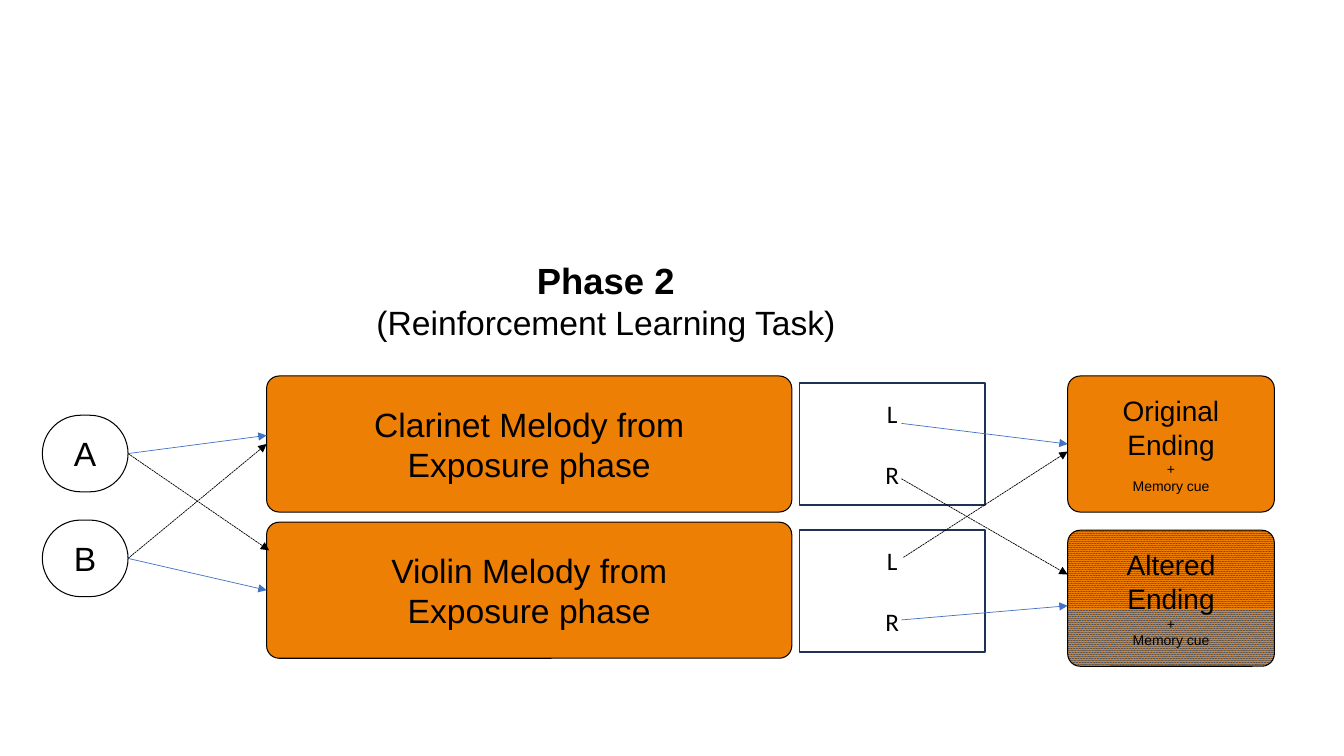
from dataclasses import dataclass

from pptx import Presentation
from pptx.dml.color import RGBColor
from pptx.enum.dml import MSO_LINE, MSO_PATTERN
from pptx.enum.shapes import MSO_CONNECTOR, MSO_SHAPE
from pptx.enum.text import MSO_ANCHOR, PP_ALIGN
from pptx.oxml.ns import qn
from pptx.util import Inches, Pt
from lxml.etree import SubElement


@dataclass(frozen=True)
class Theme:
    ink: str = "000000"
    paper: str = "FFFFFF"
    orange: str = "EE7F05"
    slate: str = "44546A"
    navy: str = "1E3256"
    blue: str = "4472C4"
    sans: str = "Arial"
    choice_font: str = "Calibri"
    heading: int = 26
    label: int = 24
    ending: int = 20
    choice: int = 18
    cue: int = 10
    outline: float = 0.75
    choice_outline: float = 1
    arrow: float = 0.5


THEME = Theme()
WIDTH, HEIGHT = Inches(13.33), Inches(7.5)
LEFT, RIGHT = 1, 3

STIMULUS_COL, MELODY_COL, CHOICE_COL, ENDING_COL = 3.15, 19.84, 59.49, 79.44
STIMULUS_SIZE = (6.38, 10.13)
MELODY_SIZE = (39.08, 18)
CHOICE_SIZE = (13.8, 16.13)
ENDING_SIZE = (15.38, 18)


def col(share):
    return int(WIDTH * share / 100)


def row(share):
    return int(HEIGHT * share / 100)


def place(left, top, size):
    return col(left), row(top), col(size[0]), row(size[1])


def rgb(value):
    return RGBColor.from_string(value)


def write(frame, text, size=THEME.label, font=THEME.sans, bold=False, gap=0):
    first = frame.paragraphs[0]
    paragraph = frame.add_paragraph() if first.runs else first
    paragraph.alignment = PP_ALIGN.CENTER
    paragraph.space_before = Pt(gap)
    run = paragraph.add_run()
    run.text = text
    run.font.size = Pt(size)
    run.font.name = font
    run.font.bold = bold
    run.font.color.rgb = rgb(THEME.ink)


def add_box(slide, bounds, fill, corner=None, line=THEME.ink, weight=THEME.outline, inset=0.5):
    preset = MSO_SHAPE.RECTANGLE if corner is None else MSO_SHAPE.ROUNDED_RECTANGLE
    box = slide.shapes.add_shape(preset, *bounds)
    if corner is not None:
        box.adjustments[0] = corner
    box.shadow.inherit = False
    box.fill.solid()
    box.fill.fore_color.rgb = rgb(fill)
    box.line.color.rgb = rgb(line)
    box.line.width = Pt(weight)
    frame = box.text_frame
    frame.word_wrap = True
    frame.vertical_anchor = MSO_ANCHOR.MIDDLE
    frame.margin_left = frame.margin_right = Inches(inset)
    frame.margin_top = frame.margin_bottom = 0
    return box


def add_stimulus(slide, top, name):
    stimulus = add_box(slide, place(STIMULUS_COL, top, STIMULUS_SIZE), THEME.paper, corner=0.5, inset=0)
    write(stimulus.text_frame, name)
    return stimulus


def add_melody(slide, top, instrument):
    melody = add_box(slide, place(MELODY_COL, top, MELODY_SIZE), THEME.orange, corner=0.092)
    write(melody.text_frame, f"{instrument} Melody from")
    write(melody.text_frame, "Exposure phase")
    return melody


def add_choice(slide, top):
    choice = add_box(slide, place(CHOICE_COL, top, CHOICE_SIZE), THEME.paper,
                     line=THEME.navy, weight=THEME.choice_outline, inset=0.1)
    for side, gap in (("L", 0), ("R", 22)):
        write(choice.text_frame, side, size=THEME.choice, font=THEME.choice_font, gap=gap)


def add_ending(slide, top, version):
    ending = add_box(slide, place(ENDING_COL, top, ENDING_SIZE), THEME.orange, corner=0.092)
    write(ending.text_frame, f"{version} Ending", size=THEME.ending)
    for cue in ("+", "Memory cue"):
        write(ending.text_frame, cue, size=THEME.cue)
    return ending


def blend_altered(ending):
    ending.fill.patterned()
    ending.fill.pattern = MSO_PATTERN.PERCENT_90
    ending.fill.fore_color.rgb = rgb(THEME.orange)
    ending.fill.back_color.rgb = rgb(THEME.slate)


def add_arrow(slide, start, end, color=THEME.blue, dash=None):
    points = [(col(x), row(y)) for x, y in
              (point if isinstance(point, tuple) else (0, 0) for point in (start, end))]
    arrow = slide.shapes.add_connector(MSO_CONNECTOR.STRAIGHT, *points[0], *points[1])
    if not isinstance(start, tuple):
        arrow.begin_connect(start, RIGHT)
    if not isinstance(end, tuple):
        arrow.end_connect(end, LEFT)
    arrow.line.color.rgb = rgb(color)
    arrow.line.width = Pt(THEME.arrow)
    if dash:
        arrow.line.dash_style = dash
    SubElement(arrow.line._get_or_add_ln(), qn("a:tailEnd"), type="triangle")
    SubElement(arrow._element.spPr, qn("a:effectLst"))


def add_title(slide):
    title = slide.shapes.add_textbox(*place(27.08, 33.47, (36.01, 12.53)))
    title.text_frame.word_wrap = False
    write(title.text_frame, "Phase 2", size=THEME.heading, bold=True)
    write(title.text_frame, "(Reinforcement Learning Task)")


def main():
    deck = Presentation()
    deck.slide_width, deck.slide_height = WIDTH, HEIGHT
    slide = deck.slides.add_slide(deck.slide_layouts[6])

    add_title(slide)
    stimulus_a = add_stimulus(slide, 54.93, "A")
    stimulus_b = add_stimulus(slide, 68.8, "B")
    clarinet = add_melody(slide, 49.73, "Clarinet")
    violin = add_melody(slide, 69.07, "Violin")
    for top in (50.67, 70.13):
        add_choice(slide, top)
    original_ending = add_ending(slide, 49.73, "Original")
    altered_ending = add_ending(slide, 70.13, "Altered")
    blend_altered(altered_ending)

    common_routes = (
        (stimulus_a, (MELODY_COL, 57.6)),
        (stimulus_b, violin),
        ((67.07, 56), original_ending),
        ((67.07, 82), (ENDING_COL, 80.13)),
    )
    crossed_routes = (
        (stimulus_a, (20.03, 72.8)),
        (stimulus_b, clarinet),
        ((67.07, 63.33), (ENDING_COL, 76)),
        ((67.22, 73.73), (ENDING_COL, 59.73)),
    )
    for start, end in common_routes:
        add_arrow(slide, start, end)
    for start, end in crossed_routes:
        add_arrow(slide, start, end, color=THEME.ink, dash=MSO_LINE.SQUARE_DOT)

    deck.save("out.pptx")


if __name__ == "__main__":
    main()
